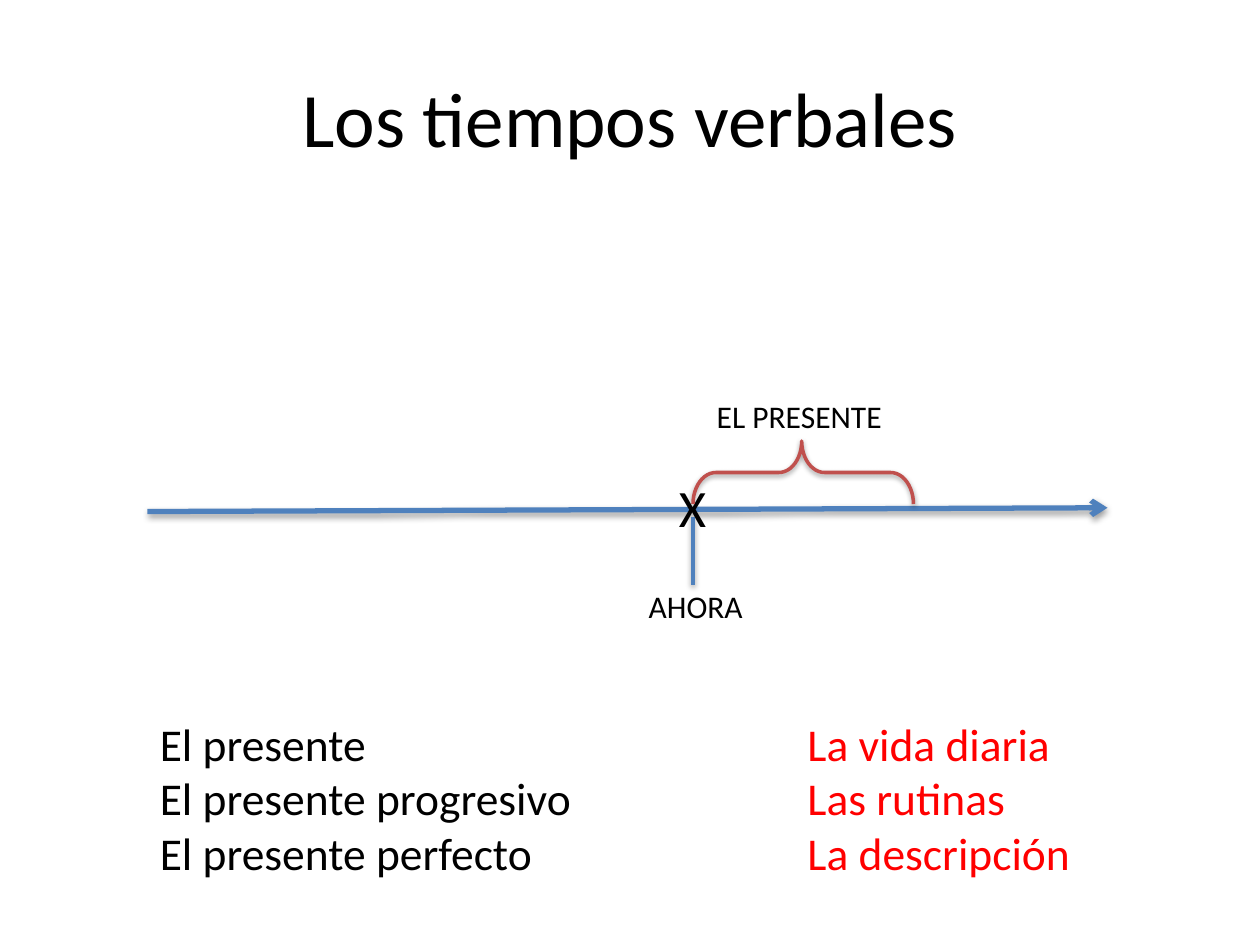
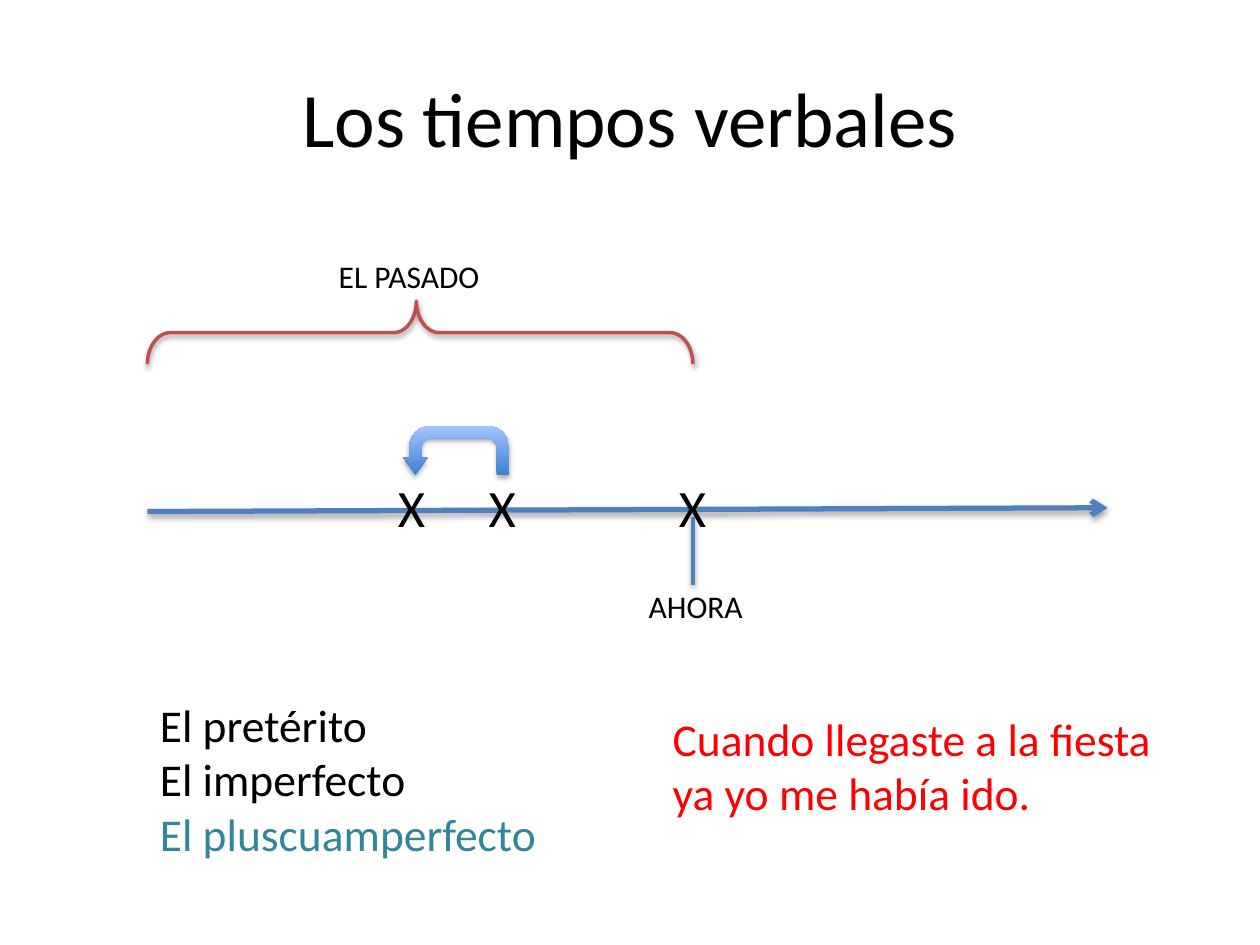
import lxml.etree
import pptx
import pptx.dml.color
import pptx.enum.shapes
import pptx.enum.text
import pptx.oxml
import pptx.oxml.ns
import pptx.util

color = pptx.dml.color.RGBColor.from_string
SHAPES = pptx.enum.shapes.MSO_SHAPE
STRAIGHT = pptx.enum.shapes.MSO_CONNECTOR.STRAIGHT
ANCHOR = pptx.enum.text.MSO_ANCHOR
ALIGN = pptx.enum.text.PP_ALIGN
BLACK, WHITE, RED, TEAL = "000000", "FFFFFF", "FF0000", "31859C"
BLUE, BRICK = "4F81BD", "C0504D"
LABEL, LIST, MARK, TITLE = 18, 26, 30, 44

presentation = pptx.Presentation()
presentation.slide_width = pptx.util.Inches(10)
presentation.slide_height = pptx.util.Inches(7.5)
COLUMN = presentation.slide_width / 100
ROW = presentation.slide_height / 75


def place(*cells):
    return [int(cell * (ROW if index % 2 else COLUMN)) for index, cell in enumerate(cells)]


def add_text(slide, text, box, size=LIST, ink=BLACK, last_ink=None, fill=None,
             align=ALIGN.LEFT, anchor=ANCHOR.TOP, wrap=True):
    shape = slide.shapes.add_textbox(*place(*box))
    if fill:
        shape.fill.solid()
        shape.fill.fore_color.rgb = color(fill)
    frame = shape.text_frame
    frame.word_wrap = wrap
    frame.vertical_anchor = anchor
    frame.text = text
    for paragraph in frame.paragraphs:
        paragraph.alignment = align
        paragraph.font.name = "Calibri"
        paragraph.font.size = pptx.util.Pt(size)
        for run in paragraph.runs:
            run.font.name = "Calibri"
            run.font.size = pptx.util.Pt(size)
            run.font.color.rgb = color(ink)
    if last_ink:
        frame.paragraphs[-1].runs[0].font.color.rgb = color(last_ink)


START, NOW = 11.7, 55
MARK_TOP, MARK_WIDTH, MARK_HEIGHT = 37.2, 4.2, 6.1
BRACE_HEIGHT = 5
periods = [
    dict(name="EL PRESENTE", label=(55.9, 31), brace=(NOW, 72.5, 35), marks=[52.9]),
    dict(name="EL PASADO", label=(25.9, 19.9), brace=(START, NOW, 23.9), marks=[52.9, 37.8, 30.6]),
]
slides = []
shadowed = []

for period in periods:
    slide = presentation.slides.add_slide(presentation.slide_layouts[6])
    slides.append(slide)
    add_text(slide, "Los tiempos verbales", (5, 3, 90, 12.5), size=TITLE,
             align=ALIGN.CENTER, anchor=ANCHOR.MIDDLE)

    timeline = slide.shapes.add_connector(STRAIGHT, *place(START, 40.6, 87.9, 40.3))
    tick = slide.shapes.add_connector(STRAIGHT, *place(NOW, 41, NOW, 46.4))
    for connector, width in ((timeline, 3), (tick, 2)):
        connector.line.color.rgb = color(BLUE)
        connector.line.width = pptx.util.Pt(width)
        shadowed.append((connector, 38))
    arrowhead = lxml.etree.SubElement(timeline.line._get_or_add_ln(), pptx.oxml.ns.qn("a:tailEnd"))
    arrowhead.set("type", "arrow")

    for left in period["marks"]:
        add_text(slide, "X", (left, MARK_TOP, MARK_WIDTH, MARK_HEIGHT), size=MARK, wrap=False)
    add_text(slide, "AHORA", (50.5, 46.1, 10.8, 4), size=LABEL)

    first, last, top = period["brace"]
    span = last - first
    brace = slide.shapes.add_shape(SHAPES.RIGHT_BRACE, *place(
        (first + last - BRACE_HEIGHT) / 2, top + (BRACE_HEIGHT - span) / 2, BRACE_HEIGHT, span))
    brace.rotation = 270
    brace.adjustments[0], brace.adjustments[1] = 0.363, 0.493
    brace.fill.background()
    brace.line.color.rgb = color(BRICK)
    brace.line.width = pptx.util.Pt(2)
    shadowed.append((brace, 38))
    add_text(slide, period["name"], (*period["label"], 18.3, 4), size=LABEL)

present, past = slides
add_text(present, "El presente\nEl presente progresivo\nEl presente perfecto",
         (START, 56.3, 38.7, 14.1))
add_text(present, "La vida diaria\nLas rutinas\nLa descripción",
         (63.1, 56.3, 33.9, 14.1), ink=RED, fill=WHITE)

add_text(past, "El pretérito\nEl imperfecto\nEl pluscuamperfecto",
         (START, 54.8, 35.8, 14.1), last_ink=TEAL)
add_text(past, "Cuando llegaste a la fiesta ya yo me había ido.",
         (52.4, 55.9, 40.5, 9.8), ink=RED)

turn_back = past.shapes.add_shape(SHAPES.U_TURN_ARROW, *place(32, 33.8, 8.4, 3.9))
turn_back._element.spPr.xfrm.set("flipH", "1")
for index, value in enumerate((0.25, 0.25, 0.357, 0.438, 1)):
    turn_back.adjustments[index] = value
turn_back.line.fill.background()
turn_back.fill.gradient()
turn_back.fill.gradient_angle = 90
for stop, position, shade in zip(turn_back.fill.gradient_stops, (0, 1), ("3F80CE", "A4C4FF")):
    stop.position = position
    stop.color.rgb = color(shade)
shadowed.append((turn_back, 35))

for shape, opacity in shadowed:
    shape._element.spPr.append(pptx.oxml.parse_xml(
        f'<a:effectLst {pptx.oxml.ns.nsdecls("a")}>'
        f'<a:outerShdw blurRad="{pptx.util.Pt(3.1)}" dist="{pptx.util.Pt(1.6)}" dir="5400000" rotWithShape="0">'
        f'<a:srgbClr val="{BLACK}"><a:alpha val="{opacity * 1000}"/></a:srgbClr>'
        '</a:outerShdw></a:effectLst>'))

presentation.save("out.pptx")
